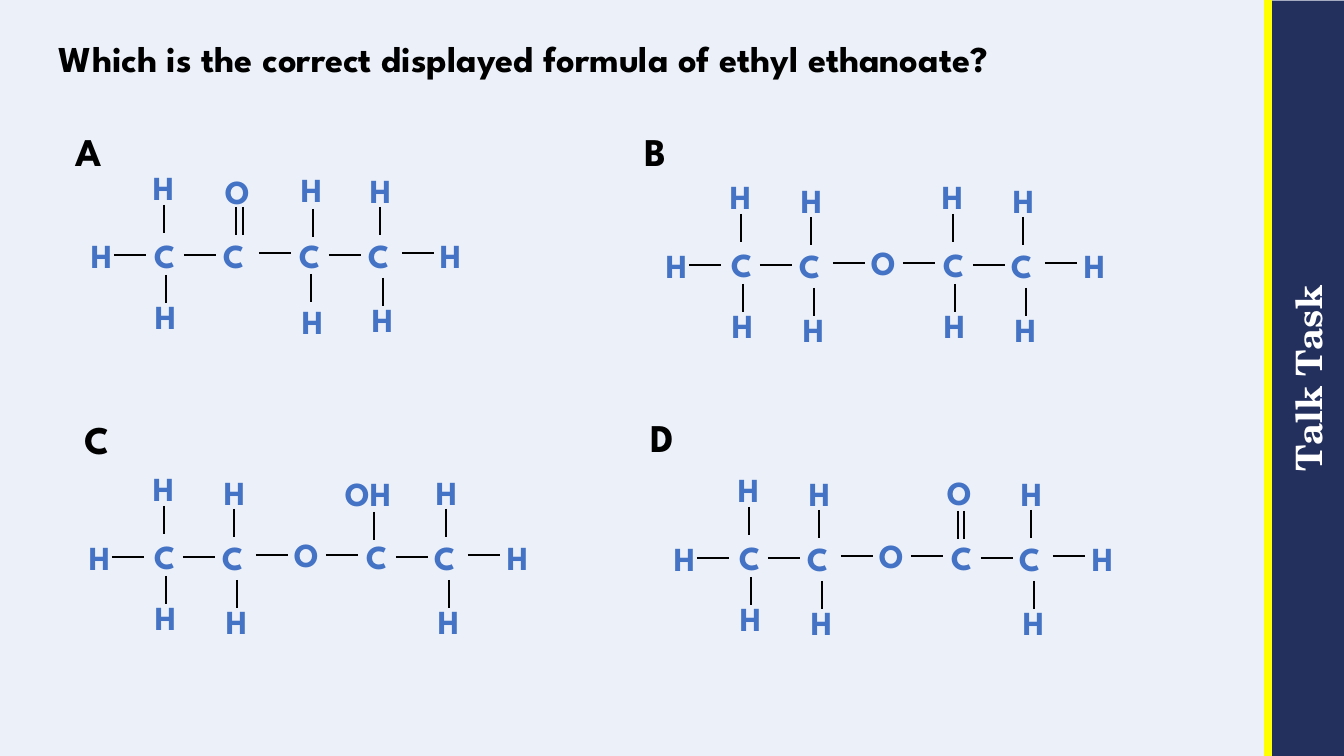
from lxml import etree
from pptx import Presentation
from pptx.dml.color import RGBColor
from pptx.enum.shapes import MSO_CONNECTOR, MSO_SHAPE
from pptx.enum.text import MSO_ANCHOR, MSO_AUTO_SIZE, PP_ALIGN
from pptx.oxml.ns import qn
from pptx.util import Pt

STRAIGHT = MSO_CONNECTOR.STRAIGHT
RECTANGLE = MSO_SHAPE.RECTANGLE
MIDDLE, BOTTOM = MSO_ANCHOR.MIDDLE, MSO_ANCHOR.BOTTOM
CENTER = PP_ALIGN.CENTER
FIT_SHAPE = MSO_AUTO_SIZE.SHAPE_TO_FIT_TEXT
color = RGBColor.from_string

SCALE = 914400 / 100.8  # EMU per px
SLIDE_WIDTH, SLIDE_HEIGHT = 1344, 756
BLACK, BLUE, NAVY, YELLOW, WHITE = "000000", "4472C4", "232F5D", "FFFF00", "FFFFFF"
PALE_BLUE = "ECF1F9"
HEADING_FONT, SIDE_FONT = "League Spartan", "TeX Gyre Schola"
ATOM_WIDTHS = {"H": 43, "C": 48, "O": 48, "OH": 72}
ATOM_HEIGHT = 50
BOND_ACROSS, BOND_DOWN = 32, 28

presentation = Presentation()
presentation.slide_width = round(SLIDE_WIDTH * SCALE)
presentation.slide_height = round(SLIDE_HEIGHT * SCALE)
slide = presentation.slides.add_slide(presentation.slide_layouts[6])
slide.background.fill.solid()
slide.background.fill.fore_color.rgb = color(PALE_BLUE)


def add_text(text, left, top, width, height, size, text_color):
    box = slide.shapes.add_textbox(*[round(n * SCALE) for n in (left, top, width, height)])
    frame = box.text_frame
    frame.word_wrap = False
    frame.auto_size = FIT_SHAPE
    paragraph = frame.paragraphs[0]
    paragraph.text = text
    paragraph.font.name = HEADING_FONT
    paragraph.font.size = Pt(size)
    paragraph.font.bold = True
    paragraph.font.color.rgb = color(text_color)
    return frame


def add_line(x, y, across, down, line_color=BLACK, width=1.5):
    ends = (x, y, x + across, y + down)
    line = slide.shapes.add_connector(STRAIGHT, *[round(n * SCALE) for n in ends])
    line.line.color.rgb = color(line_color)
    line.line.width = Pt(width)
    etree.SubElement(line._element.spPr, qn("a:effectLst"))


# Side band, turned a quarter so that its text reads upwards
band_width = 73
band = slide.shapes.add_shape(RECTANGLE, *[round(n * SCALE) for n in (930, 342, SLIDE_HEIGHT, band_width)])
band.rotation = 270
band.shadow.inherit = False
band.fill.solid()
band.fill.fore_color.rgb = color(NAVY)
band.line.fill.background()
frame = band.text_frame
frame.margin_left = frame.margin_right = frame.margin_top = frame.margin_bottom = 0
frame.vertical_anchor = MIDDLE
paragraph = frame.paragraphs[0]
paragraph.text = "Talk Task"
paragraph.alignment = CENTER
paragraph.font.name = SIDE_FONT
paragraph.font.size = Pt(26)
paragraph.font.bold = True
paragraph.font.color.rgb = color(WHITE)
add_line(1268, 0, 0, SLIDE_HEIGHT, YELLOW, 6)

# Title
title = add_text("Which is the correct displayed formula of ethyl ethanoate?",
                 59, 0, 1170, 80, 26, BLACK)
title.auto_size = MSO_AUTO_SIZE.NONE
title.word_wrap = True
title.vertical_anchor = BOTTOM
title.margin_left = title.margin_right = title.margin_top = title.margin_bottom = 0
title.paragraphs[0].line_spacing = 0.9

# Chains: atoms as (symbol, x, y) and bonds as (x, y), from the first hydrogen
FOUR_CARBONS = (
    [("H", 0, 0), ("C", 63, 0), ("C", 132, 0), ("C", 208, 0), ("C", 277, 0), ("H", 349, 0)],
    [(33, 25), (103, 25), (178, 23), (248, 25), (321, 23)],
)
OXYGEN_BRIDGE = (
    [("H", 0, 0), ("C", 65, -1), ("C", 133, 0), ("O", 205, -3),
     ("C", 277, -1), ("C", 345, 0), ("H", 418, 0)],
    [(33, 25), (104, 25), (177, 23), (247, 23), (317, 25), (389, 23)],
)

# Branches, from their carbon: atoms above and below, bonds above and below
BRANCHES = {
    "near": ([("H", -1, -68), ("H", 1, 61)], [(20, -25), (22, 45)]),
    "far": ([("H", 2, -65), ("H", 4, 64)], [(22, -23), (25, 48)]),
    "spaced": ([("H", 2, -66), ("H", 3, 66)], [(24, -21), (22, 44)]),
    "ketone": ([("O", 2, -64)], [(23, -23), (30, -23)]),
    "acyl": ([("O", -4, -65)], [(17, -21), (23, -21)]),
    "hydroxyl": ([("OH", -21, -63)], [(18, -19)]),
}

# Options: letter, its box, first hydrogen, chain, branch of each carbon
OPTIONS = [
    ("A", (66, 122, 49), (81, 230), FOUR_CARBONS, ["near", "ketone", "spaced", "far"]),
    ("B", (635, 122, 43), (656, 240), OXYGEN_BRIDGE, ["near", "far", "near", "far"]),
    ("C", (75, 410, 51), (79, 532), OXYGEN_BRIDGE, ["near", "far", "hydroxyl", "far"]),
    ("D", (641, 408, 48), (664, 533), OXYGEN_BRIDGE, ["near", "far", "acyl", "far"]),
]

for letter, (left, top, width), (start_x, start_y), (chain, chain_bonds), branches in OPTIONS:
    add_text(letter, left, top, width, 57, 28, BLACK)
    for x, y in chain_bonds:
        add_line(start_x + x, start_y + y, BOND_ACROSS, 0)
    atoms = [(symbol, start_x + x, start_y + y) for symbol, x, y in chain]
    carbons = [(x, y) for symbol, x, y in atoms if symbol == "C"]
    for (carbon_x, carbon_y), branch in zip(carbons, branches):
        branch_atoms, branch_bonds = BRANCHES[branch]
        atoms += [(symbol, carbon_x + x, carbon_y + y) for symbol, x, y in branch_atoms]
        for x, y in branch_bonds:
            add_line(carbon_x + x, carbon_y + y, 0, BOND_DOWN)
    for symbol, x, y in atoms:
        add_text(symbol, x, y, ATOM_WIDTHS[symbol], ATOM_HEIGHT, 24, BLUE)

presentation.save("out.pptx")
